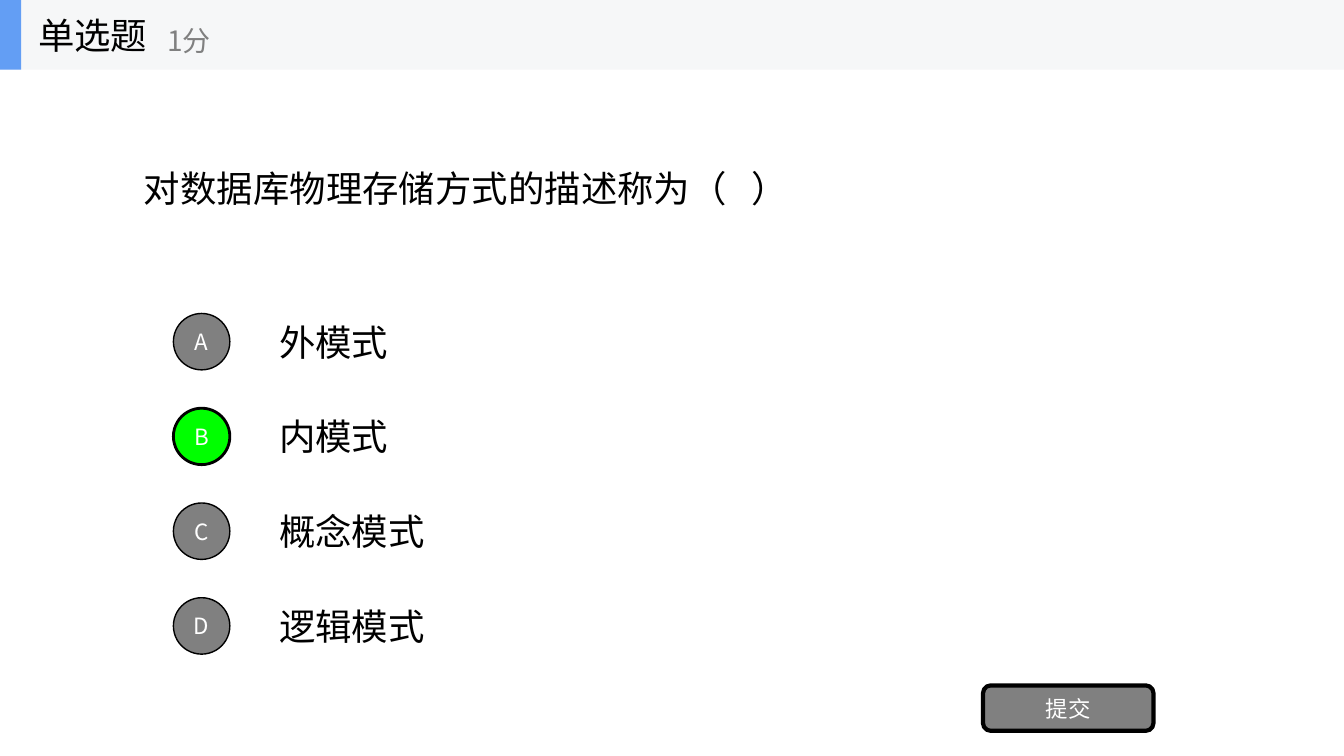
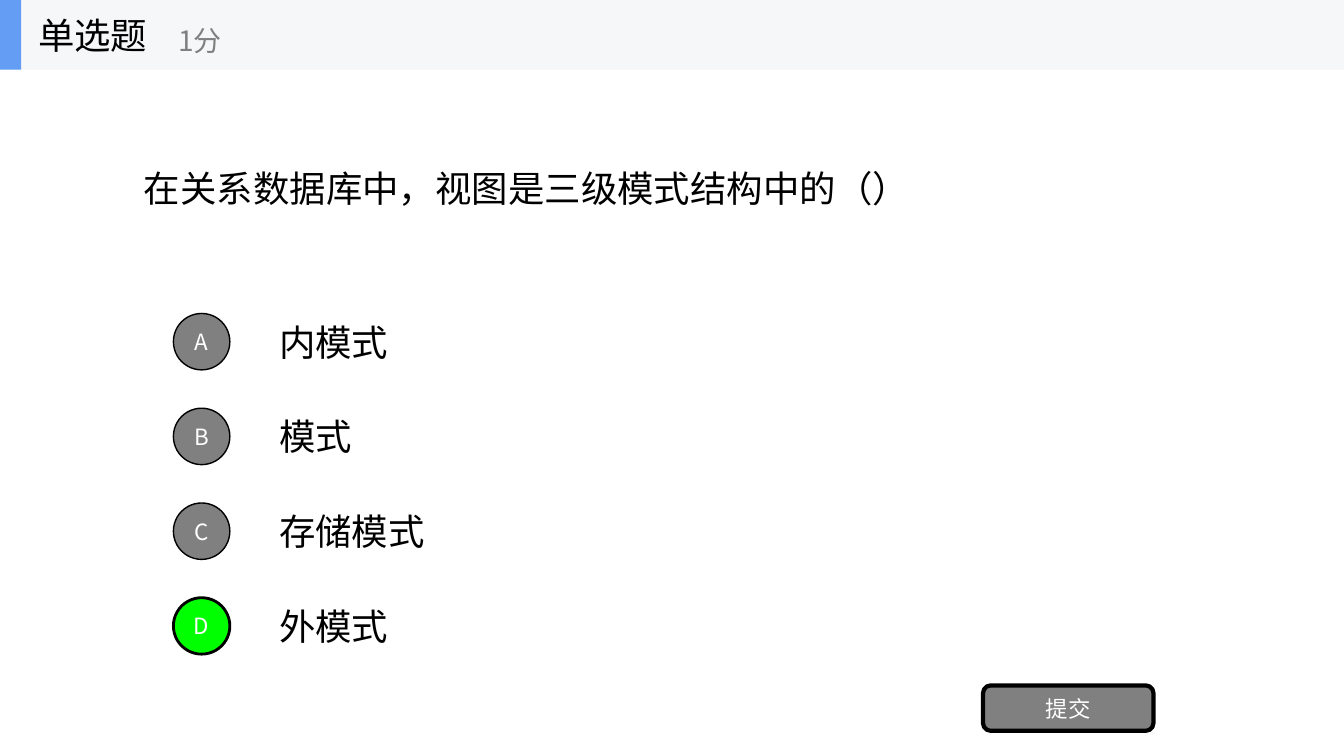
from dataclasses import dataclass
from typing import Optional, Union

from lxml.etree import SubElement
from pptx import Presentation
from pptx.dml.color import RGBColor
from pptx.enum.shapes import MSO_SHAPE
from pptx.enum.text import MSO_ANCHOR, PP_ALIGN
from pptx.oxml.ns import qn
from pptx.presentation import Presentation as Deck
from pptx.shapes.autoshape import Shape
from pptx.shapes.shapetree import GroupShapes, SlideShapes
from pptx.util import Inches, Pt

Shapes = Union[SlideShapes, GroupShapes]


@dataclass(frozen=True)
class Theme:
    font: str = "Noto Sans CJK SC"
    ink: str = "000000"
    muted: str = "808080"
    light: str = "FFFFFF"
    correct: str = "00FF00"
    band: str = "F6F7F8"
    accent: str = "639EF4"
    body_size: int = 26
    score_size: int = 20
    button_size: int = 16


@dataclass(frozen=True)
class Area:
    left: float
    top: float
    width: float
    height: float


@dataclass(frozen=True)
class Style:
    size: int
    color: str
    align: PP_ALIGN = PP_ALIGN.LEFT
    wrap: bool = True


@dataclass(frozen=True)
class Span:
    text: str
    tracking: Optional[float] = None


@dataclass(frozen=True)
class Question:
    prompt: tuple[Span, ...]
    options: tuple[str, ...]
    answer: str
    score_left: float


THEME = Theme()
BODY = Style(THEME.body_size, THEME.ink)
TITLE = Style(THEME.body_size, THEME.ink, wrap=False)
SCORE = Style(THEME.score_size, THEME.muted, wrap=False)
BUTTON = Style(THEME.button_size, THEME.light, PP_ALIGN.CENTER, wrap=False)

PAGE_WIDTH, PAGE_HEIGHT = 13.33, 7.5
BAND_HEIGHT = 0.69
OPTION_TOP, OPTION_PITCH, OPTION_HEIGHT = 3.04, 0.94, 0.7
CIRCLE_SIZE = 0.56
CIRCLE_OFFSET = (OPTION_HEIGHT - CIRCLE_SIZE) / 2

QUESTIONS = (
    Question(
        (Span("对数据库物理存储方式的描述称为（"), Span(" ", 11.7), Span("）")),
        ("外模式", "内模式", "概念模式", "逻辑模式"),
        "B",
        1.56,
    ),
    Question(
        (Span("在关系数据库中，视图是三级模式结构中的（）"),),
        ("内模式", "模式", "存储模式", "外模式"),
        "D",
        1.67,
    ),
)


def lengths(area: Area) -> tuple[Inches, ...]:
    return tuple(Inches(value) for value in (area.left, area.top, area.width, area.height))


def write(box: Shape, spans: tuple[Span, ...], style: Style) -> None:
    frame = box.text_frame
    frame.word_wrap = style.wrap
    frame.vertical_anchor = MSO_ANCHOR.MIDDLE
    para = frame.paragraphs[0]
    para.alignment = style.align
    for span in spans:
        run = para.add_run()
        run.text = span.text
        run.font.size = Pt(style.size)
        run.font.color.rgb = RGBColor.from_string(style.color)
        run.font.name = THEME.font
        properties = run._r.get_or_add_rPr()
        SubElement(properties, qn("a:ea"), typeface=THEME.font)
        if span.tracking is not None:
            properties.set("spc", str(round(span.tracking * 100)))


def add_text(shapes: Shapes, area: Area, spans: tuple[Span, ...], style: Style) -> None:
    write(shapes.add_textbox(*lengths(area)), spans, style)


def add_block(shapes: Shapes, kind: MSO_SHAPE, area: Area, fill: str, line_width: float = 0) -> Shape:
    block = shapes.add_shape(kind, *lengths(area))
    block.shadow.inherit = False
    block.fill.solid()
    block.fill.fore_color.rgb = RGBColor.from_string(fill)
    if line_width:
        block.line.color.rgb = RGBColor.from_string(THEME.ink)
        block.line.width = Pt(line_width)
    else:
        block.line.fill.background()
    return block


def add_button(shapes: Shapes, kind: MSO_SHAPE, area: Area, label: str, fill: str, line_width: float) -> None:
    button = add_block(shapes, kind, area, fill, line_width)
    frame = button.text_frame
    frame.margin_left = frame.margin_right = frame.margin_top = frame.margin_bottom = Inches(0)
    write(button, (Span(label),), BUTTON)


def add_option(shapes: Shapes, row: int, text: str, answer: str) -> None:
    letter = "ABCD"[row]
    top = OPTION_TOP + row * OPTION_PITCH
    fill, line_width = (THEME.correct, 2) if letter == answer else (THEME.muted, 1)
    add_text(shapes, Area(2.67, top, 9.33, OPTION_HEIGHT), (Span(text),), BODY)
    circle = Area(1.72, top + CIRCLE_OFFSET, CIRCLE_SIZE, CIRCLE_SIZE)
    add_button(shapes, MSO_SHAPE.OVAL, circle, letter, fill, line_width)


def add_header(shapes: SlideShapes, score_left: float) -> None:
    header = shapes.add_group_shape().shapes
    add_block(header, MSO_SHAPE.RECTANGLE, Area(0, 0, PAGE_WIDTH, BAND_HEIGHT), THEME.band)
    add_block(header, MSO_SHAPE.RECTANGLE, Area(0, 0, 0.21, BAND_HEIGHT), THEME.accent)
    add_text(header, Area(0.28, 0, 2.08, BAND_HEIGHT), (Span("单选题"),), TITLE)
    add_text(header, Area(score_left, 0.12, 2.5, 0.56), (Span("1分"),), SCORE)


def add_question_page(deck: Deck, question: Question) -> None:
    shapes = deck.slides.add_slide(deck.slide_layouts[6]).shapes
    add_text(shapes, Area(1.33, BAND_HEIGHT, 10.67, 2.34), question.prompt, BODY)
    for row, option in enumerate(question.options):
        add_option(shapes, row, option, question.answer)
    submit = Area(9.75, 6.8, 1.69, 0.45)
    add_button(shapes, MSO_SHAPE.ROUNDED_RECTANGLE, submit, "提交", THEME.muted, 3)
    add_header(shapes, question.score_left)


def main() -> None:
    deck = Presentation()
    deck.slide_width = Inches(PAGE_WIDTH)
    deck.slide_height = Inches(PAGE_HEIGHT)
    for question in QUESTIONS:
        add_question_page(deck, question)
    deck.save("out.pptx")


if __name__ == "__main__":
    main()
